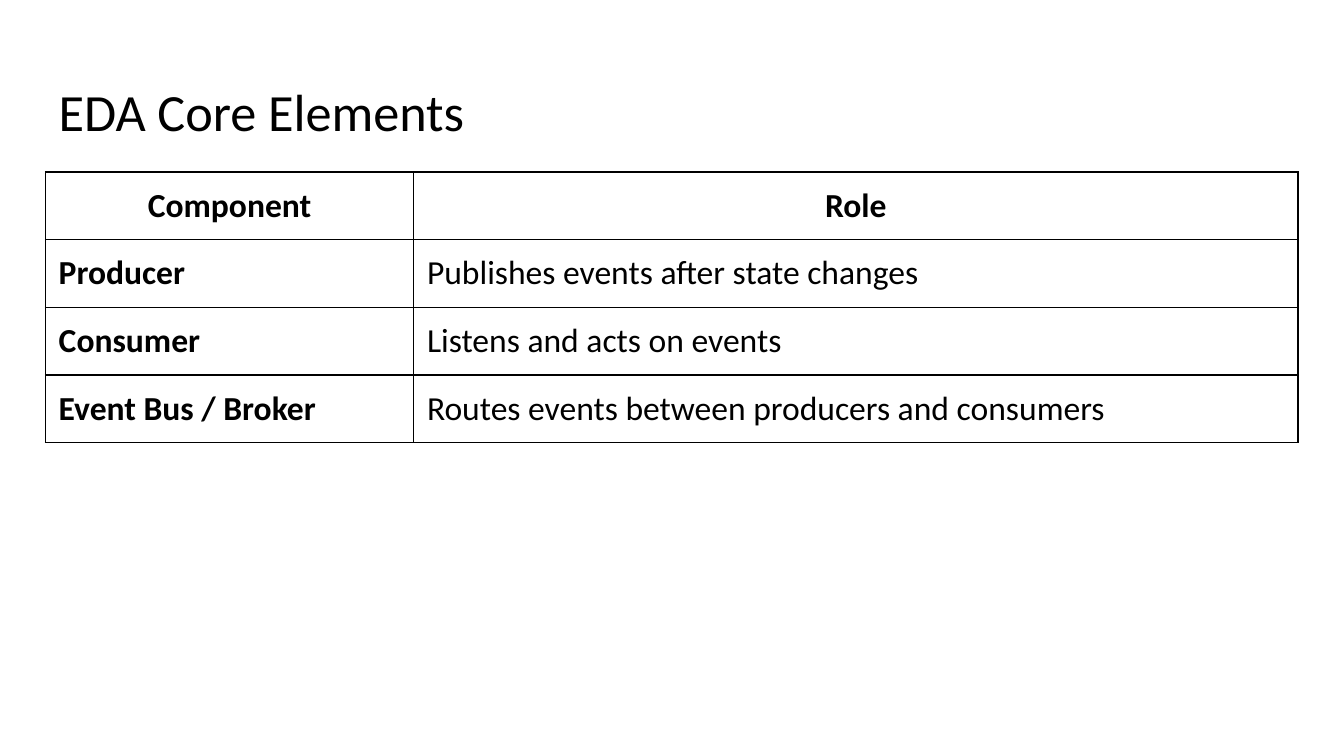
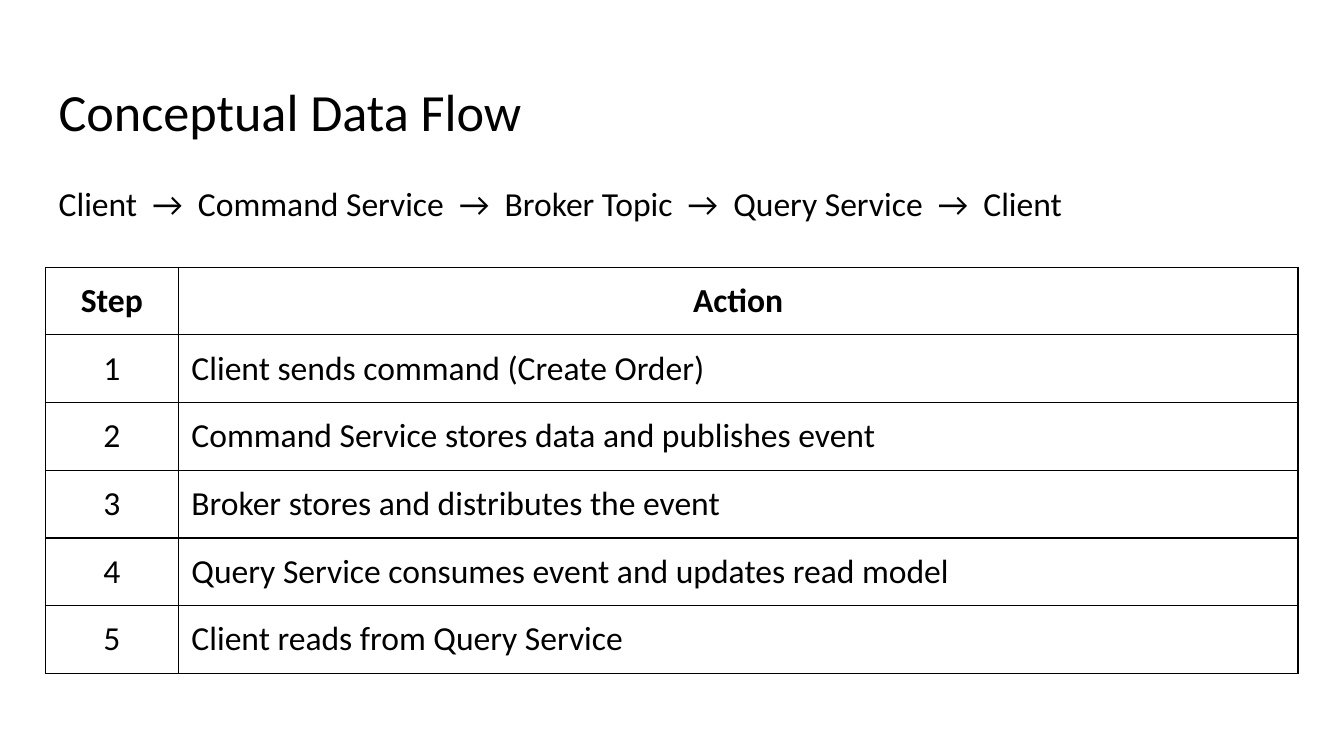
"""Build two slides on event-driven architecture with bordered tables."""
import pptx
import pptx.dml.color
import pptx.enum.text
import pptx.oxml
import pptx.oxml.ns
import pptx.util

Cm = pptx.util.Cm
Pt = pptx.util.Pt
ALIGN = pptx.enum.text.PP_ALIGN

BLACK = pptx.dml.color.RGBColor(0x00, 0x00, 0x00)
WHITE = pptx.dml.color.RGBColor(0xFF, 0xFF, 0xFF)
FONT = "Calibri"
LEFT, WIDTH = 0.86, 23.67
INSET = 0.25
ROW_HEIGHT = 1.28
BORDER = Pt(0.75)


def write_text(text_frame, text, size=18, bold=False, align=ALIGN.LEFT, color=BLACK):
    paragraph = text_frame.paragraphs[0]
    paragraph.alignment = align
    run = paragraph.add_run()
    run.text = text
    run.font.name = FONT
    run.font.size = Pt(size)
    run.font.bold = bold
    run.font.color.rgb = color


def set_margins(target):
    target.margin_left = target.margin_right = Cm(INSET)
    target.margin_top = target.margin_bottom = Cm(INSET)


def draw_borders(cell):
    properties = cell._tc.get_or_add_tcPr()
    for side in ("lnL", "lnR", "lnT", "lnB"):
        properties.append(pptx.oxml.parse_xml(
            f'<a:{side} {pptx.oxml.ns.nsdecls("a")} w="{int(BORDER)}">'
            f'<a:solidFill><a:srgbClr val="{BLACK}"/></a:solidFill></a:{side}>'
        ))


class Deck:
    def __init__(self):
        self.presentation = pptx.Presentation()
        self.presentation.slide_width = Cm(25.4)
        self.presentation.slide_height = Cm(14.29)
        self.slide = None

    def add_slide(self, title):
        self.slide = self.presentation.slides.add_slide(self.presentation.slide_layouts[6])
        self.slide.background.fill.solid()
        self.slide.background.fill.fore_color.rgb = WHITE
        self.add_text(title, top=1.24, height=1.7, size=28)

    def add_text(self, text, top, height, **style):
        shape = self.slide.shapes.add_textbox(Cm(LEFT), Cm(top), Cm(WIDTH), Cm(height))
        text_frame = shape.text_frame
        text_frame.word_wrap = True
        text_frame.auto_size = pptx.enum.text.MSO_AUTO_SIZE.SHAPE_TO_FIT_TEXT
        set_margins(text_frame)
        write_text(text_frame, text, **style)

    def add_table(self, rows, top, first_width, first_style):
        shape = self.slide.shapes.add_table(
            len(rows), 2, Cm(LEFT), Cm(top), Cm(WIDTH), Cm(ROW_HEIGHT * len(rows)))
        table = shape.table
        table.first_row = table.horz_banding = False
        table.columns[0].width = Cm(first_width)
        table.columns[1].width = Cm(WIDTH - first_width)
        header_style = {"bold": True, "align": ALIGN.CENTER}
        for row_index, row in enumerate(rows):
            styles = (first_style, {}) if row_index else (header_style, header_style)
            for column_index, (text, style) in enumerate(zip(row, styles)):
                cell = table.cell(row_index, column_index)
                set_margins(cell)
                draw_borders(cell)
                cell.fill.background()
                write_text(cell.text_frame, text, **style)


def main():
    deck = Deck()

    deck.add_slide("EDA Core Elements")
    components = [
        ("Component", "Role"),
        ("Producer", "Publishes events after state changes"),
        ("Consumer", "Listens and acts on events"),
        ("Event Bus / Broker", "Routes events between producers and consumers"),
    ]
    deck.add_table(components, top=3.25, first_width=6.96, first_style={"bold": True})

    deck.add_slide("Conceptual Data Flow")
    stages = ["Client", "Command Service", "Broker Topic", "Query Service", "Client"]
    deck.add_text("  →  ".join(stages), top=3.2, height=1.27)
    actions = [
        "Client sends command (Create Order)",
        "Command Service stores data and publishes event",
        "Broker stores and distributes the event",
        "Query Service consumes event and updates read model",
        "Client reads from Query Service",
    ]
    steps = [(str(number), action) for number, action in enumerate(actions, 1)]
    deck.add_table([("Step", "Action")] + steps, top=5.05, first_width=2.51,
                   first_style={"align": ALIGN.CENTER})

    deck.presentation.save("out.pptx")


if __name__ == "__main__":
    main()
